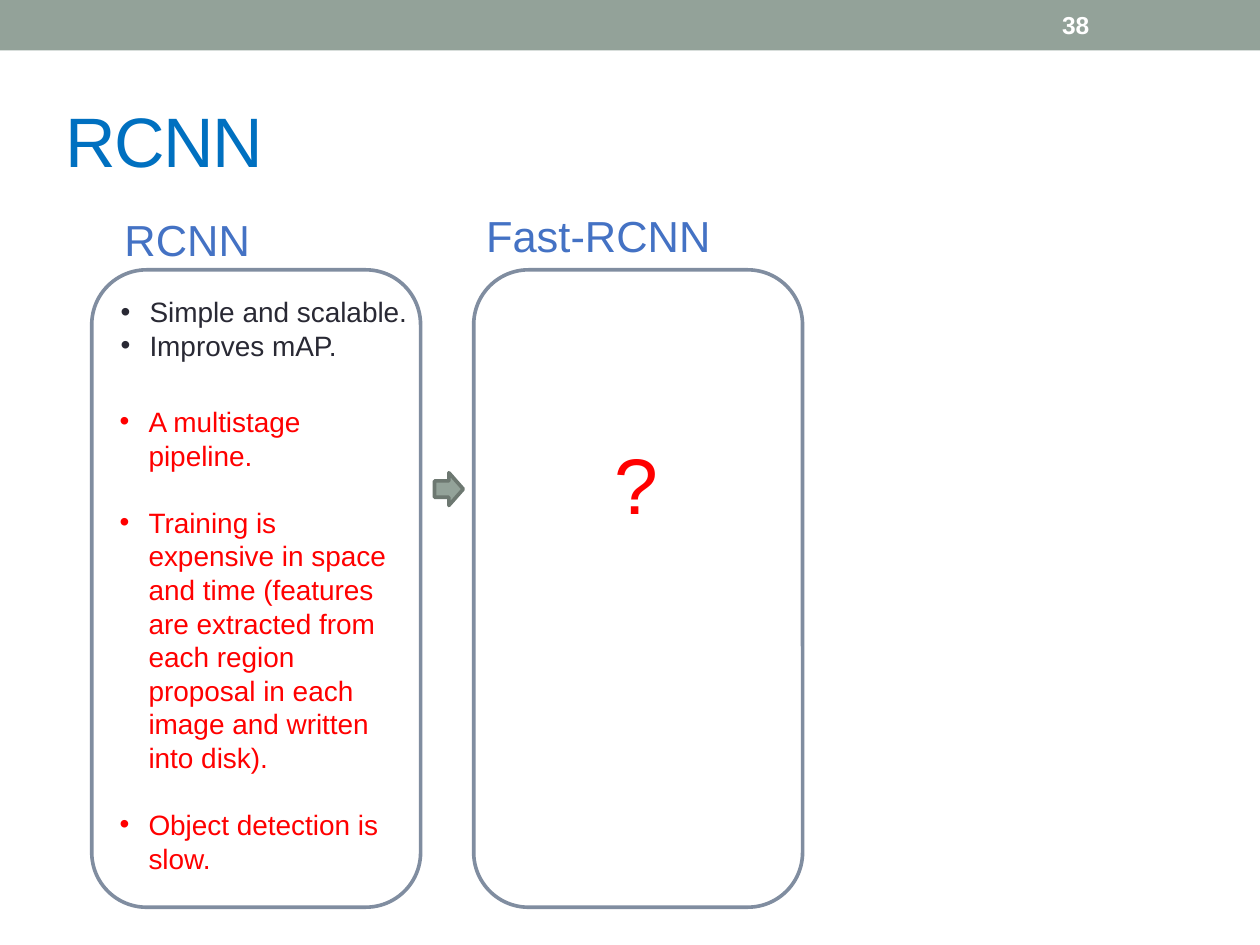
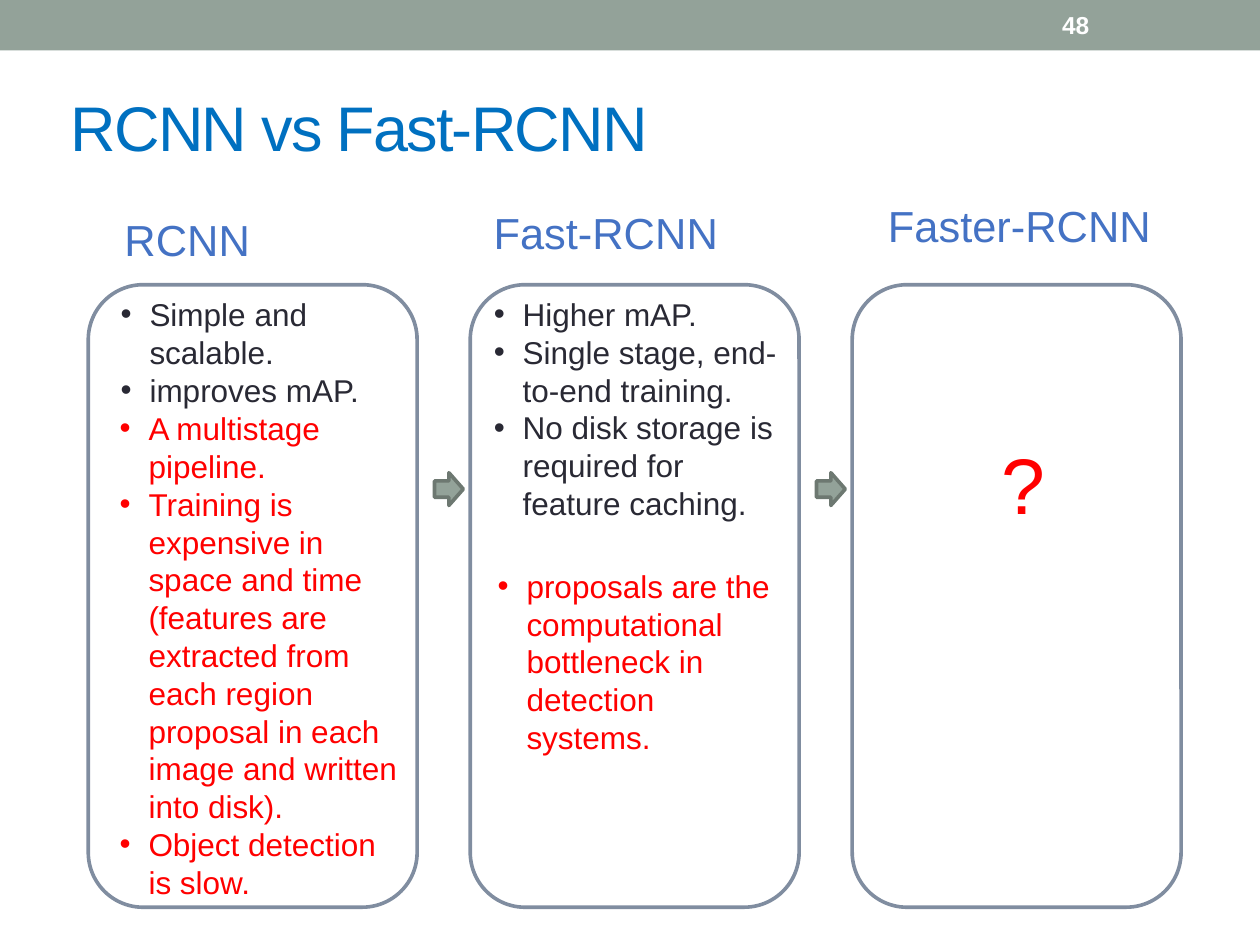
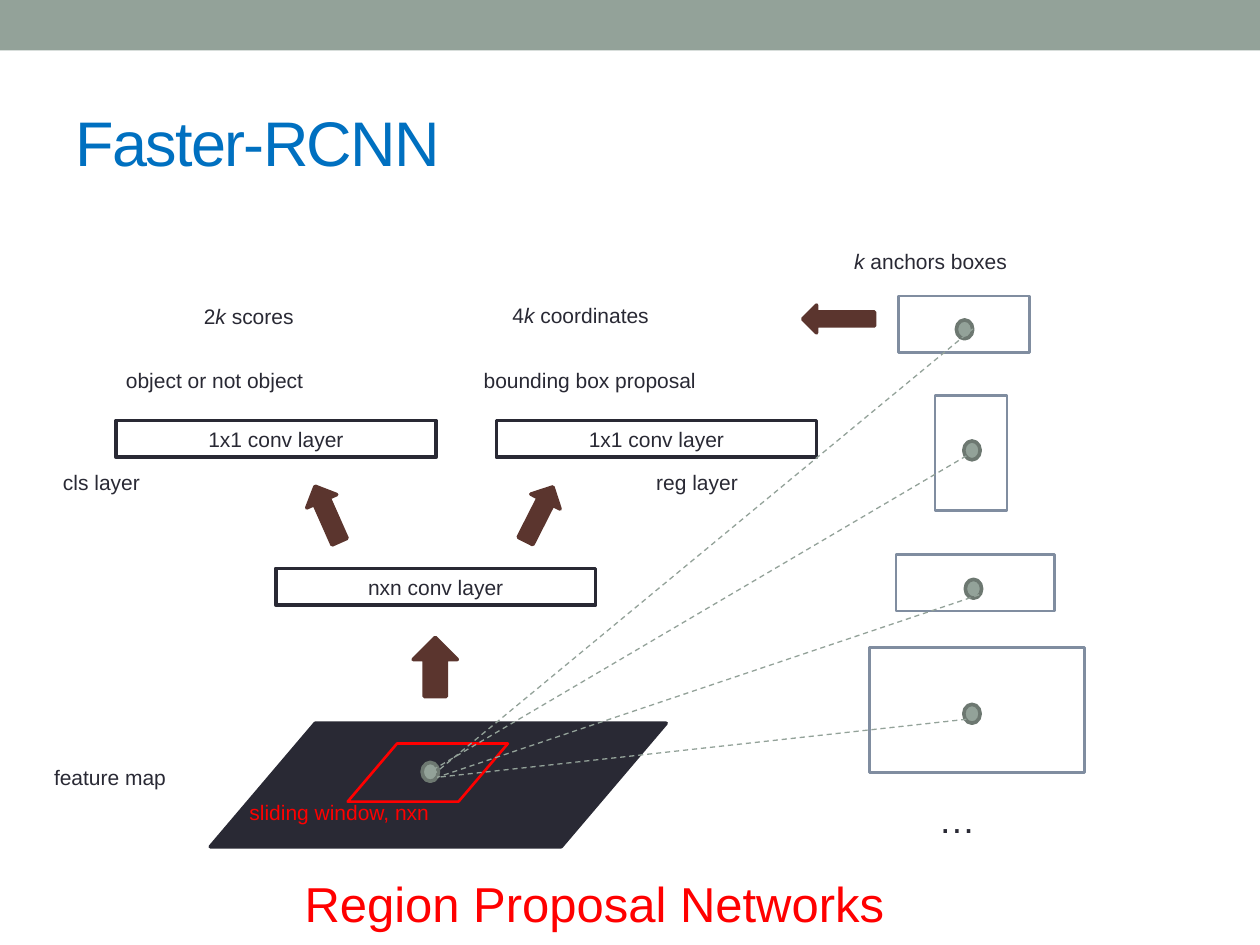
from lxml.etree import SubElement
from pptx import Presentation
from pptx.dml.color import RGBColor
from pptx.enum.dml import MSO_LINE
from pptx.enum.shapes import MSO_CONNECTOR, MSO_SHAPE
from pptx.enum.text import MSO_ANCHOR, MSO_AUTO_SIZE, PP_ALIGN
from pptx.oxml.ns import qn
from pptx.util import Cm, Pt

COLORS = {
    "band": "93A299", "edge": "6D7871", "panel": "808DA0", "ink": "292934",
    "title": "0070C0", "heading": "4472C4", "alert": "FF0000",
    "arrow": "5B352E", "white": "FFFFFF",
}
LAYOUTS = {"two lists": 3, "four lists": 4, "title only": 5}
TITLE_W = 22.86
PITCH = 7.7
PANEL_W = 6.63
LIST_W = 6.3
STAGE_ARROW = (8.76, 9.53)
SIMPLE = "Simple and scalable."
RCNN_LIMITS = [
    "A multistage pipeline.",
    "Training is expensive in space and time (features are extracted from each "
    "region proposal in each image and written into disk).",
    "Object detection is slow.",
]


def rgb(name):
    return RGBColor.from_string(COLORS[name])


def apply(target, values):
    for key, value in values.items():
        setattr(target, key, value)


class Deck:
    def __init__(self):
        self.prs = Presentation()
        apply(self.prs, {"slide_width": Cm(25.4), "slide_height": Cm(19.05)})
        self.s = None

    def slide(self, layout):
        first = self.s is None
        self.s = self.prs.slides.add_slide(self.prs.slide_layouts[LAYOUTS[layout]])
        self.bodies = [ph for ph in self.s.placeholders if ph.placeholder_format.idx]
        if first:
            self.band()

    def band(self):
        sp = self.shape(MSO_SHAPE.RECTANGLE, (0, 0, 25.4, 1.02), "band")
        sp.element.nvSpPr.cNvPr.id = 99
        self.prs.slide_master.shapes.element.insert(2, sp.element)

    def place(self, sp, box):
        apply(sp, dict(zip(("left", "top", "width", "height"), map(Cm, box))))

    def run(self, p, text, size, color, **extra):
        r = p.add_run()
        r.text = text
        apply(r.font, {"name": "Arial", "size": Pt(size), "bold": False, **extra})
        r.font.color.rgb = rgb(color)

    def frame(self, sp, **extra):
        tf = sp.text_frame
        apply(tf, {"word_wrap": True, "auto_size": MSO_AUTO_SIZE.NONE,
                   "vertical_anchor": MSO_ANCHOR.TOP, **extra})
        return tf

    def title(self, text, box, size, anchor=MSO_ANCHOR.TOP):
        sp = self.s.shapes.title
        self.place(sp, box)
        p = self.frame(sp, vertical_anchor=anchor).paragraphs[0]
        p.alignment = PP_ALIGN.LEFT
        self.run(p, text, size, "title")
        for rPr in sp.element.iter(qn("a:rPr")):
            rPr.set("spc", "-100")

    def bullets(self, items, box, size, color="ink", gap=0):
        sp = self.bodies.pop(0)
        self.s.shapes.element.append(sp.element)
        self.place(sp, box)
        tf = self.frame(sp)
        for i, text in enumerate(items):
            p = tf.add_paragraph() if i else tf.paragraphs[0]
            pPr = p._p.get_or_add_pPr()
            pPr.set("marL", str(Cm(0.58)))
            pPr.set("indent", str(-Cm(0.58)))
            SubElement(pPr, qn("a:buFont"), typeface="Arial")
            SubElement(pPr, qn("a:buChar"), char="•")
            apply(p, {"alignment": PP_ALIGN.LEFT, "line_spacing": Pt(size * 1.2),
                      "space_before": Pt(gap if i else 0), "space_after": Pt(0)})
            self.run(p, text, size, color)

    def text(self, parts, box, size=12, color="ink", bold=False, **extra):
        sp = self.s.shapes.add_textbox(*map(Cm, box))
        p = self.frame(sp, **extra).paragraphs[0]
        for part in parts:
            self.run(p, part, size, color, bold=bold, italic=part == "k")

    def shape(self, kind, box, fill=None, line=None, width=2.08, rotation=0):
        sp = self.s.shapes.add_shape(kind, *map(Cm, box))
        sp.shadow.inherit = False
        sp.rotation = rotation
        if fill:
            sp.fill.solid()
            sp.fill.fore_color.rgb = rgb(fill)
        else:
            sp.fill.background()
        if line:
            sp.line.color.rgb = rgb(line)
            sp.line.width = Pt(width)
        else:
            sp.line.fill.background()
        return sp

    def number(self, text):
        self.text([text], (21.16, 0.05, 2.97, 0.91), 14, "white", True,
                  vertical_anchor=MSO_ANCHOR.MIDDLE)

    def panels(self, count, left, top, height):
        for i in range(count):
            self.shape(MSO_SHAPE.ROUNDED_RECTANGLE,
                       (left + i * PITCH, top, PANEL_W, height), "white", "panel")
        x, y = STAGE_ARROW
        for i in range(count - 1):
            self.shape(MSO_SHAPE.RIGHT_ARROW, (x + i * PITCH, y, 0.58, 0.66),
                       "band", "edge")

    def heading(self, text, left, top):
        self.text([text], (left, top, 7.4, 1.32), 24.8, "heading")

    def question(self, left):
        self.text(["?"], (left, 8.66, 4.55, 2.18), 45, "alert")

    def arrow(self, box, rotation):
        self.shape(MSO_SHAPE.RIGHT_ARROW, box, "arrow", "arrow", rotation=rotation)

    def parallelogram(self, box, fill, line, width):
        sp = self.shape(MSO_SHAPE.PARALLELOGRAM, box, fill, line, width)
        sp.adjustments[0] = 0.85

    def layer(self, text, left, top):
        sp = self.shape(MSO_SHAPE.RECTANGLE, (left, top, 6.45, 0.74), "white", "ink")
        p = self.frame(sp, vertical_anchor=MSO_ANCHOR.MIDDLE).paragraphs[0]
        p.alignment = PP_ALIGN.CENTER
        self.run(p, text, 12, "ink")

    def dot(self, left, top):
        self.shape(MSO_SHAPE.OVAL, (left, top, 0.33, 0.38), "band", "edge")

    def ray(self, *ends):
        c = self.s.shapes.add_connector(MSO_CONNECTOR.STRAIGHT, *map(Cm, ends))
        c.line.color.rgb = rgb("band")
        apply(c.line, {"width": Pt(0.75), "dash_style": MSO_LINE.DASH})
        SubElement(c.element.spPr, qn("a:effectLst"))


def rcnn(d):
    d.slide("two lists")
    d.title("RCNN", (1.07, 1.83, TITLE_W, 1.93), 40)
    d.panels(2, 1.85, 5.44, 12.85)
    d.heading("RCNN", 2.26, 4.17)
    d.heading("Fast-RCNN", 9.55, 4.09)
    d.bullets([SIMPLE, "Improves mAP."], (2.18, 5.82, LIST_W, 1.63), 16)
    d.bullets(RCNN_LIMITS, (2.16, 8.03, LIST_W, 10.5), 16, "alert", 19.2)
    d.question(12.14)
    d.number("38")


def comparison(d):
    d.slide("four lists")
    d.title("RCNN vs Fast-RCNN", (1.17, 1.65, TITLE_W, 3.18), 36)
    d.panels(3, 1.78, 5.74, 12.55)
    d.heading("RCNN", 2.26, 4.17)
    d.heading("Fast-RCNN", 9.7, 4.04)
    d.heading("Faster-RCNN", 17.65, 3.89)
    d.bullets([SIMPLE, "improves mAP."], (2.18, 5.82, LIST_W, 2.57), 18)
    d.bullets(RCNN_LIMITS, (2.16, 8.12, LIST_W, 11), 18, "alert")
    d.bullets(["Higher mAP.", "Single stage, end-to-end training.",
               "No disk storage is required for feature caching."],
              (9.7, 5.82, LIST_W, 4.88), 18)
    d.bullets(["proposals are the computational bottleneck in detection systems."],
              (9.78, 11.3, 6.2, 4.11), 18, "alert")
    d.question(19.94)
    d.number("48")


def faster(d):
    d.slide("title only")
    d.title("Faster-RCNN", (1.27, 1.47, TITLE_W, 2.74), 36, MSO_ANCHOR.MIDDLE)
    d.text(["Region Proposal Networks"], (5.89, 17.48, 12.62, 1.45), 28, "alert",
           word_wrap=False)
    d.parallelogram((4.24, 14.58, 9.19, 2.49), "ink", "ink", 2.08)
    d.parallelogram((7.01, 14.99, 3.23, 1.17), None, "alert", 1.5)
    d.text(["sliding window, nxn"], (4.78, 16, 7.14, 1.98), color="alert")

    for box, rotation in [((8.18, 13, 1.19, 0.89), 270),
                          ((5.99, 10.03, 1.22, 0.66), 246.1),
                          ((10.26, 10.03, 1.22, 0.66), 296.9),
                          ((16.18, 6.15, 1.45, 0.56), 180)]:
        d.arrow(box, rotation)
    for text, left, top in [("nxn conv layer", 5.56, 11.46),
                            ("1x1 conv layer", 2.34, 8.48),
                            ("1x1 conv layer", 10.01, 8.48)]:
        d.layer(text, left, top)
    for parts, left, top, width in [
        (["feature map"], 0.84, 15.29, 5.89),
        (["cls layer"], 1.02, 9.35, 4.55),
        (["reg layer"], 12.98, 9.35, 4.55),
        (["object or not object"], 2.29, 7.29, 8.74),
        (["bounding box proposal"], 9.5, 7.29, 9.32),
        (["k", " anchors boxes"], 16.97, 4.88, 8.03),
        (["2", "k", " scores"], 3.86, 5.99, 7.16),
        (["4", "k", " coordinates"], 10.08, 5.97, 7.16),
    ]:
        d.text(parts, (left, top, width, 1.19))

    for anchor in [(18.11, 5.97, 2.64, 1.14), (18.85, 7.98, 1.45, 2.31),
                   (18.06, 11.18, 3.2, 1.14), (17.53, 13.06, 4.34, 2.51)]:
        d.shape(MSO_SHAPE.RECTANGLE, anchor, "white", "panel", 1.5)
    d.text(["…"], (18.67, 15.93, 2.9, 1.78), 21)
    for center in [(19.28, 6.45), (19.43, 8.89), (19.46, 11.68), (19.43, 14.2),
                   (8.51, 15.37)]:
        d.dot(*center)
    for ends in [(19.61, 6.63, 8.79, 15.57), (19.48, 9.19, 8.69, 15.54),
                 (19.74, 11.99, 8.81, 15.67), (19.48, 14.5, 8.81, 15.67)]:
        d.ray(*ends)


def main():
    d = Deck()
    for build in (rcnn, comparison, faster):
        build(d)
    d.prs.save("out.pptx")


if __name__ == "__main__":
    main()
